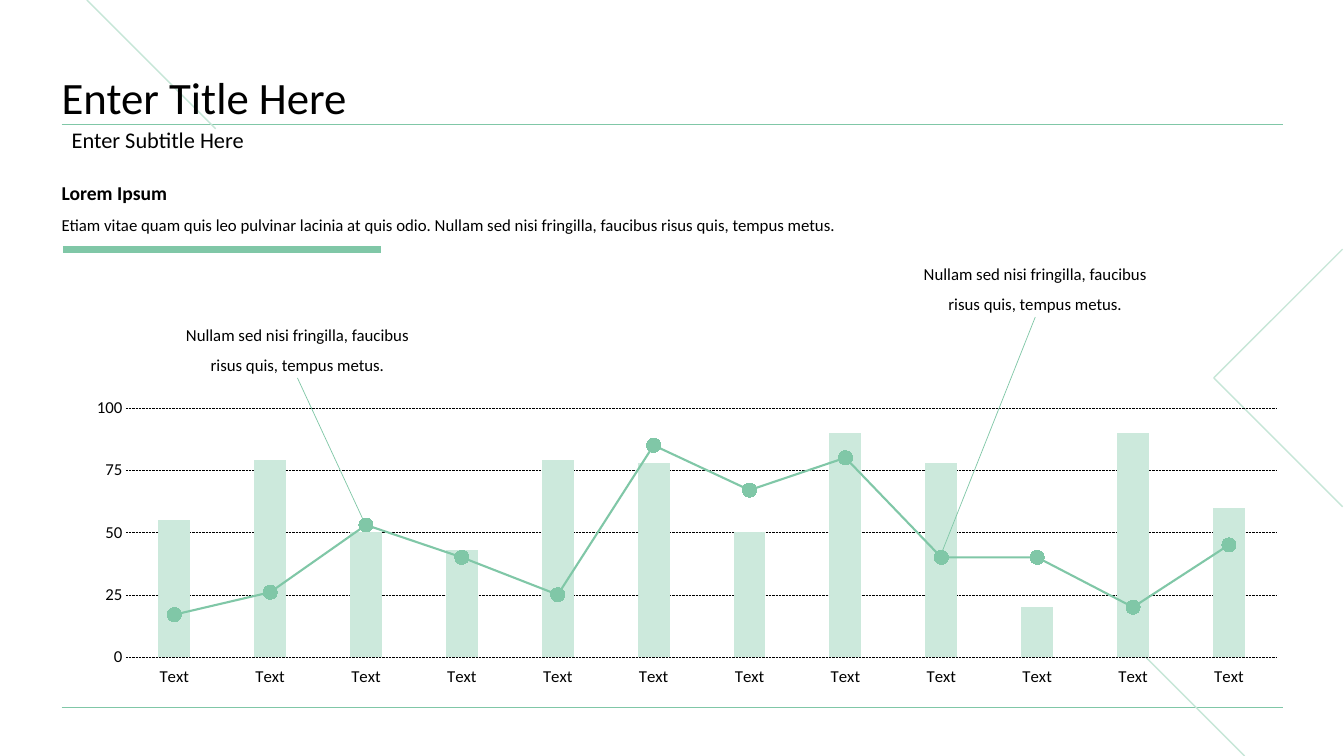
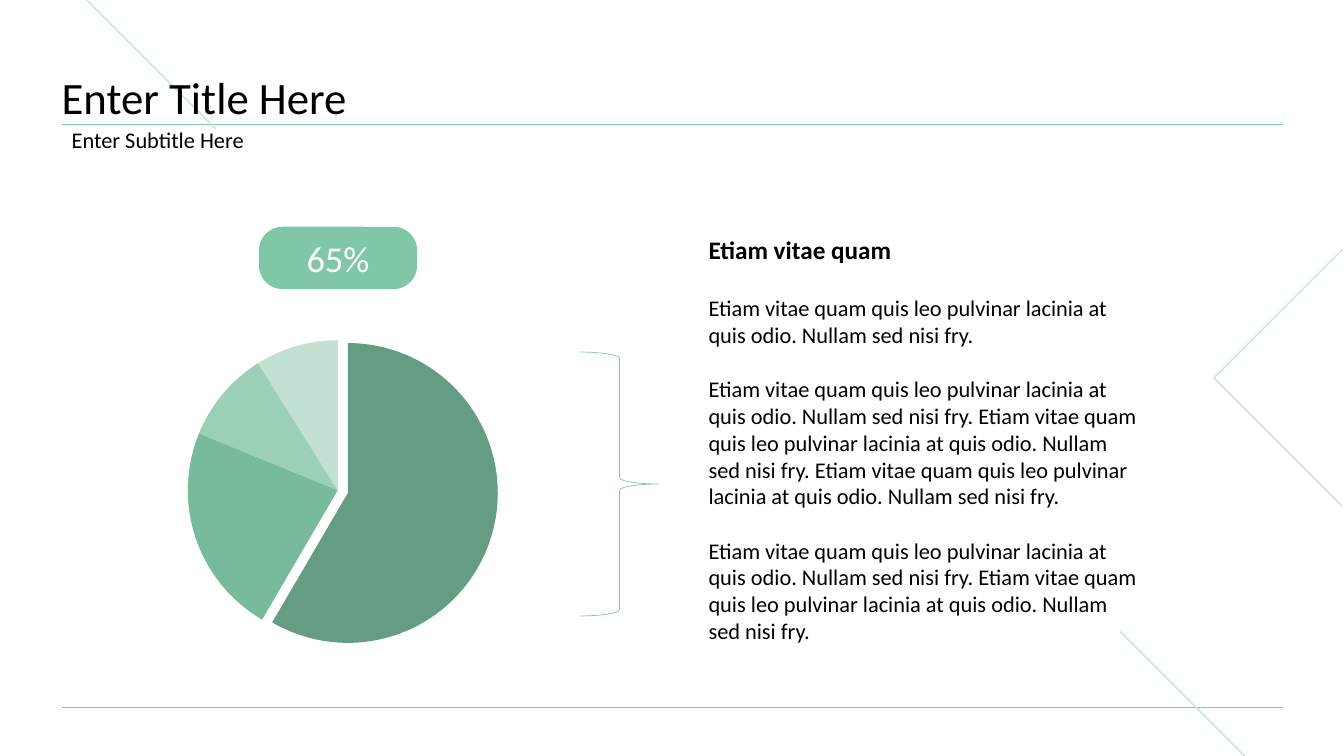
"""Build two mint-green chart slides: a column and line chart, and a pie chart."""
from copy import deepcopy

from lxml import etree
from pptx import Presentation
from pptx.chart.data import CategoryChartData
from pptx.dml.color import RGBColor
from pptx.enum.chart import XL_CHART_TYPE, XL_MARKER_STYLE, XL_TICK_LABEL_POSITION, XL_TICK_MARK
from pptx.enum.dml import MSO_LINE
from pptx.enum.shapes import MSO_CONNECTOR, MSO_SHAPE
from pptx.enum.text import MSO_ANCHOR, MSO_AUTO_SIZE, PP_ALIGN
from pptx.oxml.ns import qn
from pptx.oxml.xmlchemy import OxmlElement
from pptx.util import Pt

COLUMN, PIE = XL_CHART_TYPE.COLUMN_CLUSTERED, XL_CHART_TYPE.PIE
CIRCLE = XL_MARKER_STYLE.CIRCLE
LABELS_LOW = XL_TICK_LABEL_POSITION.LOW
NO_TICKS = XL_TICK_MARK.NONE
SHORT_DASH = MSO_LINE.SQUARE_DOT
STRAIGHT = MSO_CONNECTOR.STRAIGHT
ROUNDED, BRACE = MSO_SHAPE.ROUNDED_RECTANGLE, MSO_SHAPE.RIGHT_BRACE
TOP, MIDDLE, BOTTOM = MSO_ANCHOR.TOP, MSO_ANCHOR.MIDDLE, MSO_ANCHOR.BOTTOM
LEFT, CENTER = PP_ALIGN.LEFT, PP_ALIGN.CENTER
FIXED = MSO_AUTO_SIZE.NONE

BLACK = RGBColor(0x00, 0x00, 0x00)
WHITE = RGBColor(0xFF, 0xFF, 0xFF)
GREEN = RGBColor(0x80, 0xC7, 0xA7)
PALE_GREEN = RGBColor(0xC6, 0xE6, 0xD7)
COLUMN_GREEN = RGBColor(0xCC, 0xE9, 0xDC)
SLICE_GREENS = [
    RGBColor(0x65, 0x9D, 0x84),
    RGBColor(0x78, 0xBA, 0x9C),
    RGBColor(0x9B, 0xD0, 0xB7),
    RGBColor(0xC3, 0xE1, 0xD2),
]
FONT = "Calibri"
MARGIN, CONTENT_WIDTH = 44, 872.5
RIGHT = MARGIN + CONTENT_WIDTH


def add_line(slide, x1, y1, x2, y2, color=GREEN, width=0.5):
    line = slide.shapes.add_connector(STRAIGHT, Pt(x1), Pt(y1), Pt(x2), Pt(y2))
    line.line.color.rgb = color
    line.line.width = Pt(width)
    etree.SubElement(line.element.spPr, qn("a:effectLst"))
    return line


def write_text(frame, lines, anchor=TOP, align=LEFT, color=BLACK, spacing=1.0, gap=0, inset=None):
    frame.word_wrap = True
    frame.auto_size = FIXED
    frame.vertical_anchor = anchor
    if inset is not None:
        frame.margin_left = frame.margin_right = Pt(inset)
        frame.margin_top = frame.margin_bottom = Pt(inset)
    for index, (text, size, bold) in enumerate(lines):
        paragraph = frame.add_paragraph() if index else frame.paragraphs[0]
        paragraph.text = text
        paragraph.alignment = align
        paragraph.line_spacing = spacing
        paragraph.space_before = Pt(gap if index else 0)
        paragraph.font.name = FONT
        paragraph.font.size = Pt(size)
        paragraph.font.bold = bold
        paragraph.font.color.rgb = color


prs = Presentation()
prs.slide_width, prs.slide_height = Pt(960), Pt(540)
layout = prs.slide_layouts[1]
trend_slide = prs.slides.add_slide(layout)
share_slide = prs.slides.add_slide(layout)

outline = trend_slide.shapes.build_freeform(Pt(959), Pt(178), scale=1.0)
outline.add_line_segments([(Pt(867), Pt(270)), (Pt(959), Pt(362))], close=False)
chevron = outline.convert_to_shape()
chevron.shadow.inherit = False
chevron.fill.background()
chevron.line.color.rgb = PALE_GREEN
chevron.line.width = Pt(1)
decorations = [
    add_line(trend_slide, MARGIN, 505, RIGHT, 505),
    add_line(trend_slide, MARGIN, 88.5, RIGHT, 88.5),
    add_line(trend_slide, 800, 451, 889, 540, PALE_GREEN, 1),
    add_line(trend_slide, 62, 0, 154, 92, PALE_GREEN, 1),
    chevron,
]
for decoration in decorations:
    layout.shapes.element.append(decoration.element)

for slide in prs.slides:
    title, subtitle = slide.placeholders
    for holder, top, height in ((title, 31.5, 57), (subtitle, 88.5, 24.5)):
        holder.left, holder.top = Pt(MARGIN), Pt(top)
        holder.width, holder.height = Pt(CONTENT_WIDTH), Pt(height)
    write_text(title.text_frame, [("Enter Title Here", 32, False)], BOTTOM, spacing=0.9, inset=0)
    subtitle_format = subtitle.text_frame.paragraphs[0]._p.get_or_add_pPr()
    subtitle_format.set("marL", "0")
    subtitle_format.set("indent", "0")
    etree.SubElement(subtitle_format, qn("a:buNone"))
    write_text(subtitle.text_frame, [("Enter Subtitle Here", 16, False)], MIDDLE, spacing=0.9)

add_line(trend_slide, 45, 178, 272, 178, GREEN, 5)
intro = trend_slide.shapes.add_textbox(Pt(MARGIN), Pt(121), Pt(CONTENT_WIDTH), Pt(45.5))
intro_lines = [
    ("Lorem Ipsum", 14, True),
    ("Etiam vitae quam quis leo pulvinar lacinia at quis odio. "
     "Nullam sed nisi fringilla, faucibus risus quis, tempus metus.", 12, False),
]
write_text(intro.text_frame, intro_lines, spacing=1.5, inset=0)

trend_data = CategoryChartData()
trend_data.categories = ["Text"] * 12
trend_data.add_series("Series 1", [55, 79, 50, 43, 79, 78, 50, 90, 78, 20, 90, 60])
trend_data.add_series("Series 2", [17, 26, 53, 40, 25, 85, 67, 80, 40, 40, 20, 45])
trend = trend_slide.shapes.add_chart(
    COLUMN, Pt(MARGIN), Pt(279.5), Pt(CONTENT_WIDTH), Pt(211), trend_data).chart

bars = trend.element.find(".//" + qn("c:barChart"))
line_series = bars.findall(qn("c:ser"))[1]
for bar_setting in line_series.findall(qn("c:invertIfNegative")):
    line_series.remove(bar_setting)
line_plot = OxmlElement("c:lineChart")
etree.SubElement(line_plot, qn("c:grouping"), val="standard")
etree.SubElement(line_plot, qn("c:varyColors"), val="0")
line_plot.append(line_series)
etree.SubElement(line_plot, qn("c:marker"), val="1")
for axis_id in bars.findall(qn("c:axId")):
    line_plot.append(deepcopy(axis_id))
bars.addnext(line_plot)

columns, curve = trend.plots
columns.gap_width, columns.overlap = 200, -20
columns.vary_by_categories = False
columns.series[0].format.fill.solid()
columns.series[0].format.fill.fore_color.rgb = COLUMN_GREEN
points_line = curve.series[0]
points_line.smooth = False
points_line.format.line.color.rgb = GREEN
points_line.format.line.width = Pt(1.5)
points_line.marker.style, points_line.marker.size = CIRCLE, 10
points_line.marker.format.fill.solid()
points_line.marker.format.fill.fore_color.rgb = GREEN
points_line.marker.format.line.color.rgb = GREEN

for axis in (trend.category_axis, trend.value_axis):
    axis.major_tick_mark = axis.minor_tick_mark = NO_TICKS
    axis.format.line.fill.background()
    axis.tick_labels.font.name = FONT
    axis.tick_labels.font.size = Pt(12)
    axis.tick_labels.font.color.rgb = BLACK
trend.category_axis.tick_label_position = LABELS_LOW
scale = trend.value_axis
scale.minimum_scale, scale.maximum_scale, scale.major_unit = 0, 100, 25
scale.has_major_gridlines = True
grid = scale.major_gridlines.format.line
grid.color.rgb = BLACK
grid.width = Pt(0.25)
grid.dash_style = SHORT_DASH

for left, top, target_x, target_y in ((119.5, 221, 259.5, 371.5), (646.5, 177.5, 673, 394)):
    callout = trend_slide.shapes.add_textbox(Pt(left), Pt(top), Pt(186), Pt(49))
    callout_text = "Nullam sed nisi fringilla, faucibus risus quis, tempus metus."
    write_text(callout.text_frame, [(callout_text, 12, False)], align=CENTER, spacing=1.5)
    add_line(trend_slide, left + 93, top + 49, target_x, target_y)

share_data = CategoryChartData()
share_data.categories = ["1", "2", "3", "4"]
share_data.add_series("Series 1", [59, 23, 10, 9])
share = share_slide.shapes.add_chart(PIE, Pt(68.5), Pt(230.5), Pt(345.5), Pt(237), share_data).chart
slices = share.plots[0].series[0]
for index, color in enumerate(SLICE_GREENS):
    piece = slices.points[index].format
    piece.fill.solid()
    piece.fill.fore_color.rgb = color
    piece.line.fill.background()
explosion = OxmlElement("c:explosion")
explosion.set("val", "7")
share.element.find(".//" + qn("c:dPt")).find(qn("c:spPr")).addprevious(explosion)

plot_areas = (
    (trend, {"x": 0.053, "y": 0.057, "w": 0.942, "h": 0.851}),
    (share, {"x": 0.19, "y": 0.05, "w": 0.62, "h": 0.91}),
)
for chart, fractions in plot_areas:
    chart.has_legend = chart.has_title = False
    chart.font.name = FONT
    chart.font.size = Pt(10)
    chart.font.color.rgb = GREEN
    plot_area = chart.element.find(".//" + qn("c:plotArea"))
    for automatic in plot_area.findall(qn("c:layout")):
        plot_area.remove(automatic)
    placement = OxmlElement("c:layout")
    plot_area.insert(0, placement)
    manual = etree.SubElement(placement, qn("c:manualLayout"))
    etree.SubElement(manual, qn("c:layoutTarget"), val="inner")
    for side in "xy":
        etree.SubElement(manual, qn(f"c:{side}Mode"), val="edge")
    for side, fraction in fractions.items():
        etree.SubElement(manual, qn(f"c:{side}"), val=str(fraction))

badge = share_slide.shapes.add_shape(ROUNDED, Pt(185), Pt(162), Pt(113), Pt(44.5))
badge.adjustments[0] = 0.38
badge.shadow.inherit = False
badge.fill.solid()
badge.fill.fore_color.rgb = GREEN
badge.line.fill.background()
write_text(badge.text_frame, [("65%", 26, False)], MIDDLE, CENTER, WHITE, inset=7)

SENTENCE = "Etiam vitae quam quis leo pulvinar lacinia at quis odio. Nullam sed nisi fry."
details = share_slide.shapes.add_textbox(Pt(499), Pt(206.5), Pt(320.5), Pt(260.5))
detail_lines = [(" ".join([SENTENCE] * count), 16, False) for count in (1, 3, 2)]
write_text(details.text_frame, detail_lines, gap=19.5)
heading = share_slide.shapes.add_textbox(Pt(499), Pt(162), Pt(320.5), Pt(32.5))
write_text(heading.text_frame, [("Etiam vitae quam", 18, True)], MIDDLE)

brace = share_slide.shapes.add_shape(BRACE, Pt(414.5), Pt(251.5), Pt(56), Pt(188.5))
brace.shadow.inherit = False
brace.fill.background()
brace.line.color.rgb = GREEN
brace.line.width = Pt(0.5)

prs.save("out.pptx")
